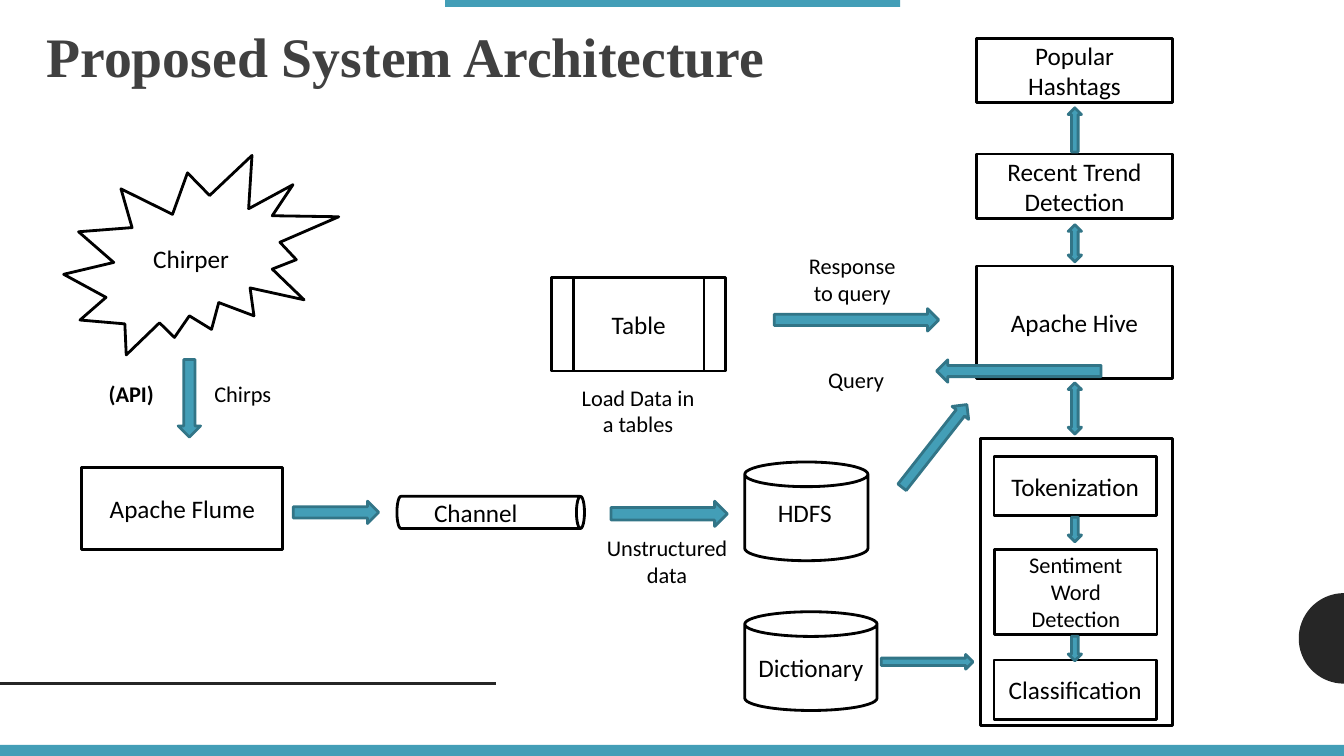
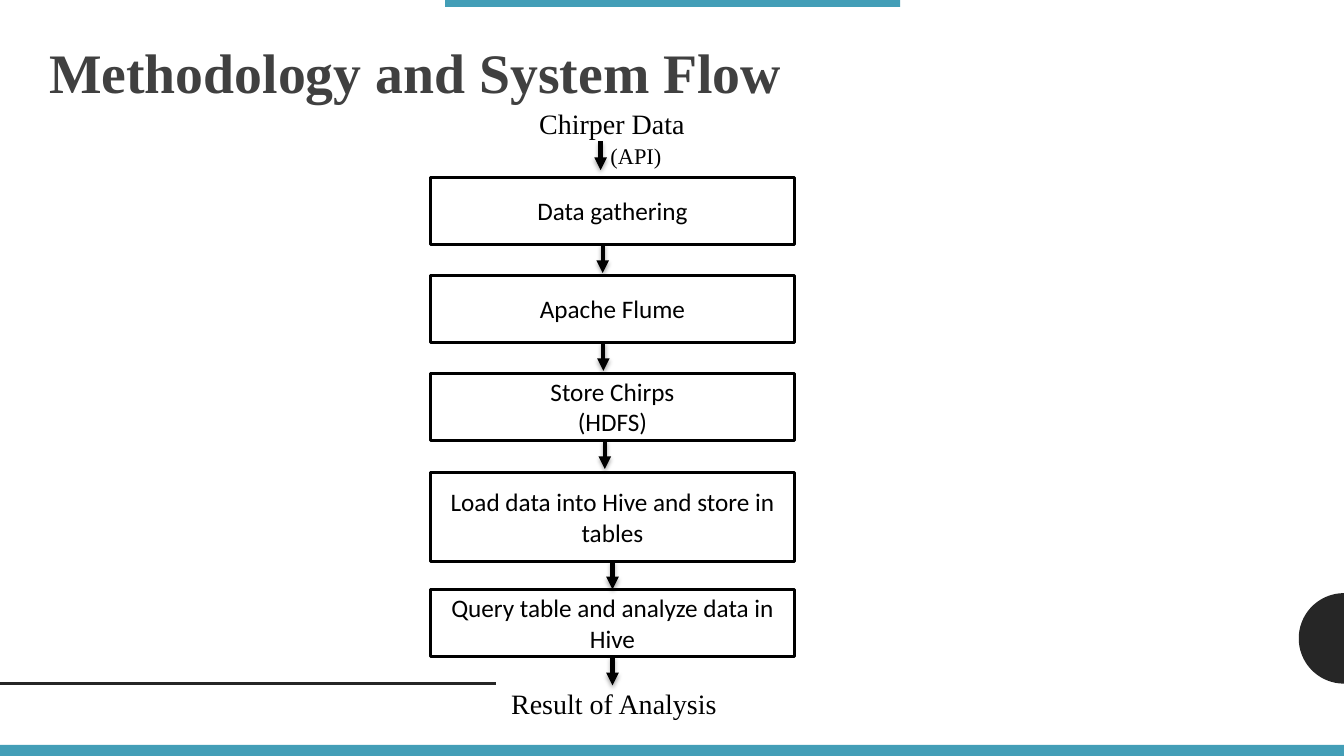
from dataclasses import dataclass
from math import cos, pi, sin

from lxml.etree import SubElement
from pptx import Presentation
from pptx.dml.color import RGBColor
from pptx.enum.shapes import MSO_CONNECTOR, MSO_SHAPE as Preset
from pptx.enum.text import MSO_ANCHOR as Anchor, PP_ALIGN as Align
from pptx.oxml.ns import qn
from pptx.util import Pt

COLORS = {
    "accent": "439EB7",
    "accent_line": "327587",
    "dark": "262626",
    "title": "404040",
    "black": "000000",
    "white": "FFFFFF",
}
SANS, SERIF = "Calibri", "Times New Roman"
WIDTH, HEIGHT = 960, 540
MARGINS = {
    "margin_left": Pt(7.2), "margin_right": Pt(7.2),
    "margin_top": Pt(3.6), "margin_bottom": Pt(3.6),
}
TITLE_FONT = {"name": SERIF, "size": Pt(39.8), "bold": True}
TITLE_PARAGRAPH = {"line_spacing": 1.12, "space_before": Pt(9)}


@dataclass(frozen=True)
class Box:
    left: float
    top: float
    width: float
    height: float

    def lengths(self) -> tuple:
        return Pt(self.left), Pt(self.top), Pt(self.width), Pt(self.height)


@dataclass(frozen=True)
class Node:
    box: Box
    text: str = ""
    preset: Preset = Preset.RECTANGLE
    size: float = 18
    rotation: float = 0


@dataclass(frozen=True)
class BlockArrow:
    box: Box
    rotation: float = 0
    preset: Preset = Preset.RIGHT_ARROW


@dataclass(frozen=True)
class Label:
    box: Box
    text: str
    size: float = 16
    align: Align = Align.LEFT
    font: str = SANS
    bold: bool = False


@dataclass(frozen=True)
class FlowArrow:
    x: float
    top: float
    source: int | None = None
    target: int | None = None


ARCHITECTURE_NODES = [
    Node(Box(45.5, 111, 196.5, 142.5), "Chirper", Preset.EXPLOSION2),
    Node(Box(339, 299, 23, 134), preset=Preset.CAN, rotation=90),
    Node(Box(532, 330, 88, 70.5), preset=Preset.CAN),
    Node(Box(58.5, 334, 143.5, 58.5), "Apache Flume"),
    Node(Box(697.5, 190, 140, 80.5), "Apache Hive"),
    Node(Box(394, 198.5, 124.5, 66.5), "Table", Preset.FLOWCHART_PREDEFINED_PROCESS),
    Node(Box(697.5, 110, 140, 46), "Recent Trend Detection"),
    Node(Box(697.5, 27.5, 140, 46), "Popular Hashtags"),
    Node(Box(700.5, 313, 137, 205.5)),
    Node(Box(710, 326, 116, 42.5), "Tokenization"),
    Node(Box(710.5, 392.5, 116, 60.5), "Sentiment Word Detection", size=16),
    Node(Box(710, 471.5, 116, 42.5), "Classification"),
    Node(Box(532, 437, 94.5, 70.5), "Dictionary", Preset.CAN),
]
ARCHITECTURE_ARROWS = [
    BlockArrow(Box(107.5, 276.5, 55.5, 16), 90),
    BlockArrow(Box(209.5, 358, 61, 16)),
    BlockArrow(Box(436.5, 358, 83, 18)),
    BlockArrow(Box(630, 311, 75, 15), 308.1),
    BlockArrow(Box(669, 257, 117.5, 16), 180),
    BlockArrow(Box(553, 220.5, 117.5, 16)),
    BlockArrow(Box(752, 88, 31.5, 9.5), 270),
    BlockArrow(Box(763, 160.5, 9.5, 26.5), preset=Preset.UP_DOWN_ARROW),
    BlockArrow(Box(763, 273.5, 9.5, 36.5), preset=Preset.UP_DOWN_ARROW),
    BlockArrow(Box(759, 373.5, 17.5, 9.5), 90),
    BlockArrow(Box(759, 458.5, 17.5, 9.5), 90),
    BlockArrow(Box(629.5, 467.5, 65.5, 10.5)),
]
ARCHITECTURE_LABELS = [
    Label(Box(303, 351.5, 88, 50.5), "Channel", 18),
    Label(Box(146, 268, 86.5, 26), "Chirps"),
    Label(Box(70.5, 268, 86.5, 26), "(API)", bold=True),
    Label(Box(548.5, 351.5, 58.5, 50.5), "HDFS", 18),
    Label(Box(406, 270.5, 99.5, 45.5), "Load Data in a tables", align=Align.CENTER),
    Label(Box(422.5, 378, 108, 45.5), "Unstructured data", align=Align.CENTER),
    Label(Box(584.5, 258, 82, 26), "Query"),
    Label(Box(564, 176.5, 89.5, 65), "Response to query", align=Align.CENTER),
]

FLOW_STEPS = [
    Node(Box(307.5, top, 260, height), text)
    for top, height, text in [
        (126.5, 48, "Data gathering"),
        (196.5, 48, "Apache Flume"),
        (266.5, 48, "Store Chirps\n(HDFS)"),
        (337.5, 63.5, "Load data into Hive and store in tables"),
        (421, 48, "Query table and analyze data in Hive"),
    ]
]
FLOW_ARROWS = [
    FlowArrow(429, 101),
    FlowArrow(430.5, 174.5),
    FlowArrow(431, 244.5),
    FlowArrow(432, 314.5),
    FlowArrow(437.5, 401, source=3, target=4),
    FlowArrow(437.5, 469, source=4),
]
FLOW_ARROW_LENGTH = 20.5
FLOW_LABELS = [
    Label(Box(378, 72.5, 203, 31), "Chirper Data", 20, font=SERIF),
    Label(Box(358, 486.5, 203, 31), "Result of Analysis", 20, font=SERIF),
    Label(Box(429, 98, 88.5, 26), "(API)", font=SERIF),
]


def color(name: str) -> RGBColor:
    return RGBColor.from_string(COLORS[name])


def set_values(target, values: dict) -> None:
    for name, value in values.items():
        setattr(target, name, value)


def write_text(shape, text: str, font: dict, paragraph_values: dict,
               anchor: Anchor, ink: str = "black") -> None:
    frame = shape.text_frame
    frame.text = text
    set_values(frame, {"word_wrap": True, "vertical_anchor": anchor, **MARGINS})
    for paragraph in frame.paragraphs:
        set_values(paragraph, paragraph_values)
        for run in paragraph.runs:
            set_values(run.font, font)
            run.font.color.rgb = color(ink)


def paint(shape, fill: str, line: str | None = None) -> None:
    shape.shadow.inherit = False
    shape.fill.solid()
    shape.fill.fore_color.rgb = color(fill)
    if line is None:
        shape.line.fill.background()
    else:
        shape.line.color.rgb = color(line)
        shape.line.width = Pt(2)


def add_preset(slide, box: Box, preset: Preset, fill: str,
               line: str | None = None, rotation: float = 0):
    shape = slide.shapes.add_shape(preset, *box.lengths())
    shape.rotation = rotation
    paint(shape, fill, line)
    return shape


def add_node(slide, node: Node):
    shape = add_preset(slide, node.box, node.preset, "white", "black", node.rotation)
    if node.text:
        write_text(shape, node.text, {"name": SANS, "size": Pt(node.size)},
                   {"alignment": Align.CENTER}, Anchor.MIDDLE)
    return shape


def add_label(slide, label: Label) -> None:
    shape = slide.shapes.add_textbox(*label.box.lengths())
    font = {"name": label.font, "size": Pt(label.size), "bold": label.bold}
    write_text(shape, label.text, font, {"alignment": label.align}, Anchor.TOP)


def add_line(slide, start: tuple, end: tuple, ink: str, width: float):
    """Draw a straight connector; return it with its empty effect list."""
    points = [Pt(value) for value in (*start, *end)]
    connector = slide.shapes.add_connector(MSO_CONNECTOR.STRAIGHT, *points)
    connector.line.color.rgb = color(ink)
    connector.line.width = Pt(width)
    effects = SubElement(connector._element.spPr, qn("a:effectLst"))
    return connector, effects


def add_flow_arrow(slide, arrow: FlowArrow, steps: list) -> None:
    connector, effects = add_line(slide, (arrow.x, arrow.top),
                                  (arrow.x, arrow.top + FLOW_ARROW_LENGTH), "black", 3)
    if arrow.source is not None:
        connector.begin_connect(steps[arrow.source], 2)
    if arrow.target is not None:
        connector.end_connect(steps[arrow.target], 0)
    SubElement(connector.line._get_or_add_ln(), qn("a:tailEnd"), type="triangle")
    shadow = SubElement(effects, qn("a:outerShdw"), blurRad=str(Pt(3.1)),
                        dist=str(Pt(1.8)), dir="5400000", rotWithShape="0")
    shade = SubElement(shadow, qn("a:srgbClr"), val=COLORS["black"])
    SubElement(shade, qn("a:alpha"), val="35000")


def add_half_disc(slide, center_y: float, radius: float, steps: int = 48) -> None:
    """Add the left half of a disc centred on the slide's right edge."""
    angles = [pi / 2 + pi * step / steps for step in range(steps + 1)]
    points = [(Pt(WIDTH + radius * cos(angle)), Pt(center_y - radius * sin(angle)))
              for angle in angles]
    builder = slide.shapes.build_freeform(*points[0])
    builder.add_line_segments(points[1:], close=True)
    paint(builder.convert_to_shape(), "dark")


def add_framed_slide(presentation, title: str, left: float, top: float):
    """Add a blank slide with the shared bands, line, half disc and title."""
    slide = presentation.slides.add_slide(presentation.slide_layouts[6])
    add_half_disc(slide, center_y=456, radius=32.3)
    add_line(slide, (0, 488), (354, 488), "dark", 2)
    for band in (Box(318, 0, 325, 5), Box(0, 532, WIDTH, 8)):
        add_preset(slide, band, Preset.RECTANGLE, "accent")
    title_box = slide.shapes.add_textbox(*Box(left, top, 926, 60.5).lengths())
    write_text(title_box, title, TITLE_FONT, TITLE_PARAGRAPH, Anchor.MIDDLE, "title")
    return slide


def build_architecture(presentation) -> None:
    slide = add_framed_slide(presentation, "Proposed System Architecture", 26, 6.5)
    for node in ARCHITECTURE_NODES:
        add_node(slide, node)
    for arrow in ARCHITECTURE_ARROWS:
        add_preset(slide, arrow.box, arrow.preset, "accent", "accent_line", arrow.rotation)
    for label in ARCHITECTURE_LABELS:
        add_label(slide, label)


def build_flow(presentation) -> None:
    slide = add_framed_slide(presentation, "Methodology and System Flow", 28, 17.5)
    steps = [add_node(slide, step) for step in FLOW_STEPS]
    for arrow in FLOW_ARROWS:
        add_flow_arrow(slide, arrow, steps)
    for label in FLOW_LABELS:
        add_label(slide, label)


def main() -> None:
    presentation = Presentation()
    set_values(presentation, {"slide_width": Pt(WIDTH), "slide_height": Pt(HEIGHT)})
    build_architecture(presentation)
    build_flow(presentation)
    presentation.save("out.pptx")


if __name__ == "__main__":
    main()
